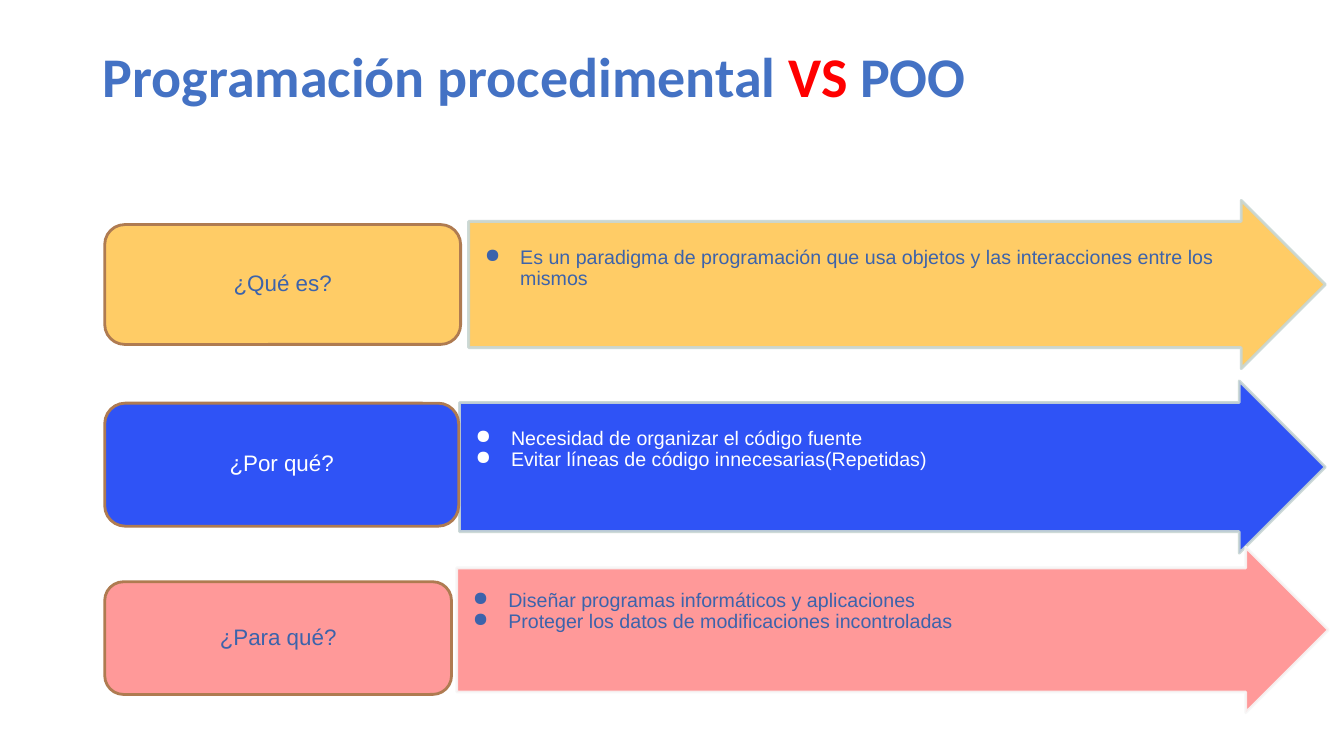
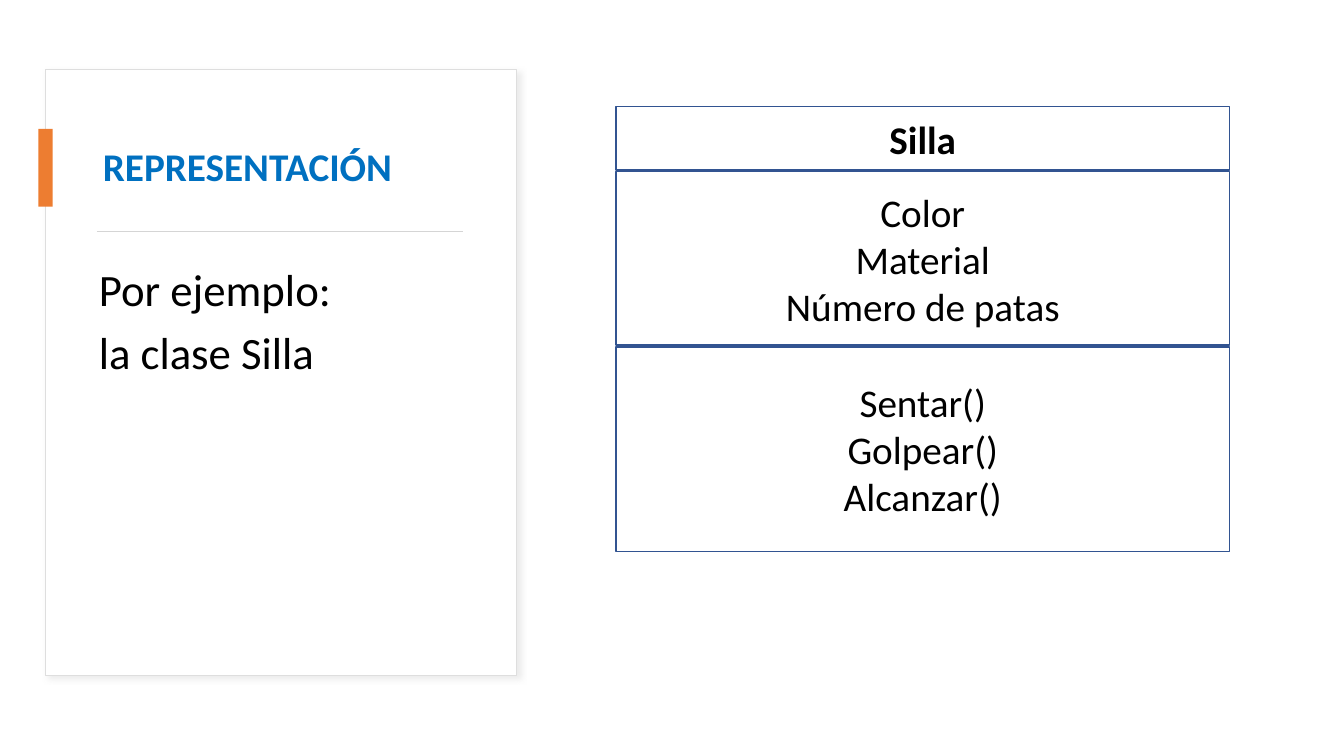
from dataclasses import dataclass
from typing import Optional

from lxml.etree import SubElement
from pptx import Presentation
from pptx.dml.color import RGBColor as Rgb
from pptx.enum.shapes import MSO_CONNECTOR as Connector, MSO_SHAPE as Preset
from pptx.enum.text import MSO_ANCHOR as Anchor, MSO_AUTO_SIZE as AutoSize, PP_ALIGN as Align
from pptx.oxml.ns import qn
from pptx.util import Cm, Pt


@dataclass(frozen=True)
class Theme:
    heading_font: str = "Calibri"
    body_font: str = "Arial"
    title_blue: str = "4472C4"
    versus_red: str = "FF0000"
    heading_blue: str = "0070C0"
    ink: str = "000000"
    white: str = "FFFFFF"
    text_blue: str = "3C63AB"
    amber: str = "FFCC66"
    royal: str = "163EF5"
    pink: str = "FF9999"
    label_border: str = "AF7B51"
    arrow_border: str = "C8D6D3"
    pale_border: str = "F7F7F7"
    card_border: str = "DEDEDE"
    card_shadow: str = "D9D9D9"
    accent: str = "ED7D31"
    divider: str = "D5D5D5"
    class_border: str = "325491"
    title_size: float = 40
    lead_size: float = 32
    class_size: float = 28
    label_size: float = 16
    bullet_size: float = 14
    opacity: int = 89


THEME = Theme()


@dataclass(frozen=True)
class Box:
    left: float
    top: float
    width: float
    height: float

    def lengths(self) -> tuple:
        return Cm(self.left), Cm(self.top), Cm(self.width), Cm(self.height)


@dataclass(frozen=True)
class TextStyle:
    font: str
    size: float
    color: str
    bold: bool = False
    align: Align = Align.LEFT
    line_spacing: float = 0.9
    space_before: float = 0
    bullet: bool = False


@dataclass(frozen=True)
class Question:
    label: str
    answers: tuple
    label_box: Box
    arrow_box: Box
    fill: str
    text_color: str
    arrow_border: str
    opacity: int = 100
    text_drop: float = 0.65


@dataclass(frozen=True)
class Compartment:
    lines: tuple
    height: float
    bold: bool = False


QUESTIONS = (
    Question("¿Qué es?",
             ("Es un paradigma de programación que usa objetos y las interacciones entre los mismos",),
             Box(2.64, 5.66, 8.97, 3.02), Box(11.81, 5.05, 21.59, 4.24),
             THEME.amber, THEME.text_blue, THEME.arrow_border),
    Question("¿Por qué?",
             ("Necesidad de organizar el código fuente",
              "Evitar líneas de código innecesarias(Repetidas)"),
             Box(2.64, 10.16, 8.92, 3.1), Box(11.58, 9.6, 21.82, 4.34),
             THEME.royal, THEME.white, THEME.arrow_border, opacity=THEME.opacity),
    Question("¿Para qué?",
             ("Diseñar programas informáticos y aplicaciones",
              "Proteger los datos de modificaciones incontroladas"),
             Box(2.64, 14.66, 8.74, 2.84), Box(11.51, 13.79, 21.97, 4.17),
             THEME.pink, THEME.text_blue, THEME.pale_border, text_drop=0.57),
)

CHAIR_CLASS = (
    Compartment(("Silla",), 1.6, bold=True),
    Compartment(("Color", "Material", "Número de patas"), 4.37),
    Compartment(("Sentar()", "Golpear()", "Alcanzar()"), 5.16),
)


def set_opacity(solid_fill, percent: int) -> None:
    alpha = SubElement(solid_fill.find(qn("a:srgbClr")), qn("a:alpha"))
    alpha.set("val", str(percent * 1000))


def add_bullet(paragraph, color: str) -> None:
    properties = paragraph.font and paragraph._p.get_or_add_pPr()
    properties.set("marL", str(Cm(1.27)))
    properties.set("indent", str(Cm(-0.89)))
    tint = properties.makeelement(qn("a:buClr"))
    SubElement(tint, qn("a:srgbClr")).set("val", color)
    mark = properties.makeelement(qn("a:buChar"), {"char": "●"})
    defaults = properties.find(qn("a:defRPr"))
    defaults.addprevious(tint)
    defaults.addprevious(mark)


def style_paragraph(paragraph, style: TextStyle) -> None:
    paragraph.alignment = style.align
    paragraph.line_spacing = style.line_spacing
    paragraph.space_before = Pt(style.space_before)
    font = paragraph.font
    font.name, font.size, font.bold = style.font, Pt(style.size), style.bold
    font.color.rgb = Rgb.from_string(style.color)
    if style.bullet:
        add_bullet(paragraph, style.color)


def write(shape, lines: tuple, style: TextStyle, anchor: Anchor = Anchor.TOP,
          margins: Optional[tuple] = None) -> None:
    frame = shape.text_frame
    frame.word_wrap = True
    frame.auto_size = AutoSize.NONE
    frame.vertical_anchor = anchor
    if margins:
        (frame.margin_left, frame.margin_top,
         frame.margin_right, frame.margin_bottom) = map(Cm, margins)
    frame.text = "\n".join(lines)
    for paragraph in frame.paragraphs:
        style_paragraph(paragraph, style)


def add_preset(slide, preset: Preset, box: Box, fill: Optional[str] = None,
               border: Optional[str] = None, border_width: float = 1):
    shape = slide.shapes.add_shape(preset, *box.lengths())
    shape.shadow.inherit = False
    if fill:
        shape.fill.solid()
        shape.fill.fore_color.rgb = Rgb.from_string(fill)
    else:
        shape.fill.background()
    if border:
        shape.line.color.rgb = Rgb.from_string(border)
        shape.line.width = Pt(border_width)
    else:
        shape.line.fill.background()
    return shape


def place_title(slide, box: Box, text: str, style: TextStyle, anchor: Anchor):
    title = slide.shapes.title
    title.left, title.top, title.width, title.height = box.lengths()
    write(title, (text,), style, anchor)
    return title


def add_card(slide, box: Box):
    card = add_preset(slide, Preset.RECTANGLE, box, THEME.white, THEME.card_border, 0.75)
    effects = card.element.spPr.find(qn("a:effectLst"))
    shadow = SubElement(effects, qn("a:outerShdw"), blurRad=str(Pt(4)), dist=str(Pt(3)),
                        dir=str(45 * 60000), algn="tl", rotWithShape="0")
    SubElement(shadow, qn("a:srgbClr")).set("val", THEME.card_shadow)
    set_opacity(shadow, 50)
    return card


def add_divider(slide, left: float, right: float, y: float) -> None:
    divider = slide.shapes.add_connector(Connector.STRAIGHT, Cm(left), Cm(y), Cm(right), Cm(y))
    divider.line.color.rgb = Rgb.from_string(THEME.divider)
    divider.line.width = Pt(0.75)
    SubElement(divider.element.spPr, qn("a:effectLst"))


def add_question(slide, question: Question) -> None:
    arrow = add_preset(slide, Preset.RIGHT_ARROW, question.arrow_box,
                       question.fill, question.arrow_border, 2)
    arrow.adjustments[0] = 0.75
    arrow.adjustments[1] = 0.5
    set_opacity(arrow.element.spPr.find(qn("a:ln")).find(qn("a:solidFill")), THEME.opacity)
    write(arrow, question.answers,
          TextStyle(THEME.body_font, THEME.bullet_size, question.text_color, bullet=True),
          margins=(0.03, question.text_drop, 0.9, 0.03))
    label = add_preset(slide, Preset.ROUNDED_RECTANGLE, question.label_box,
                       question.fill, THEME.label_border, 2)
    write(label, (question.label,),
          TextStyle(THEME.body_font, THEME.label_size, question.text_color, align=Align.CENTER),
          Anchor.MIDDLE, (0.18, 0.08, 0.18, 0.08))
    if question.opacity < 100:
        for shape in (arrow, label):
            set_opacity(shape.element.spPr.find(qn("a:solidFill")), question.opacity)


def add_class_diagram(slide, left: float, top: float, width: float, gap: float) -> None:
    for compartment in CHAIR_CLASS:
        cell = add_preset(slide, Preset.RECTANGLE, Box(left, top, width, compartment.height),
                          border=THEME.class_border)
        write(cell, compartment.lines,
              TextStyle(THEME.heading_font, THEME.class_size, THEME.ink, compartment.bold,
                        Align.CENTER, line_spacing=1.0), Anchor.MIDDLE)
        top += compartment.height + gap


def build_comparison(slide) -> None:
    title = place_title(slide, Box(2.34, 1.12, 23.55, 2.31), "Programación procedimental ",
                        TextStyle(THEME.heading_font, THEME.title_size, THEME.title_blue, True),
                        Anchor.TOP)
    heading = title.text_frame.paragraphs[0]
    versus = heading.add_run()
    versus.text = "VS"
    versus.font.color.rgb = Rgb.from_string(THEME.versus_red)
    heading.add_run().text = " POO"
    for question in QUESTIONS:
        add_question(slide, question)


def build_representation(slide) -> None:
    card = add_card(slide, Box(1.14, 1.75, 11.89, 15.27))
    title = place_title(slide, Box(2.34, 2.72, 9.47, 3.07), "REPRESENTACIÓN",
                        TextStyle(THEME.heading_font, THEME.class_size, THEME.heading_blue, True),
                        Anchor.MIDDLE)
    card.element.addnext(title.element)
    add_preset(slide, Preset.RECTANGLE, Box(0.97, 3.25, 0.36, 1.96), THEME.accent)
    add_divider(slide, 2.44, 11.68, 5.83)
    add_class_diagram(slide, 15.52, 2.69, 15.47, 0.04)
    example = slide.shapes.add_textbox(*Box(2.24, 6.63, 9.47, 9.88).lengths())
    write(example, ("Por ejemplo:", "la clase Silla"),
          TextStyle(THEME.heading_font, THEME.lead_size, THEME.ink, space_before=10))


def main() -> None:
    deck = Presentation()
    deck.slide_width, deck.slide_height = Cm(33.87), Cm(19.05)
    title_only = deck.slide_layouts[5]
    for build in (build_comparison, build_representation):
        build(deck.slides.add_slide(title_only))
    deck.save("out.pptx")


if __name__ == "__main__":
    main()
